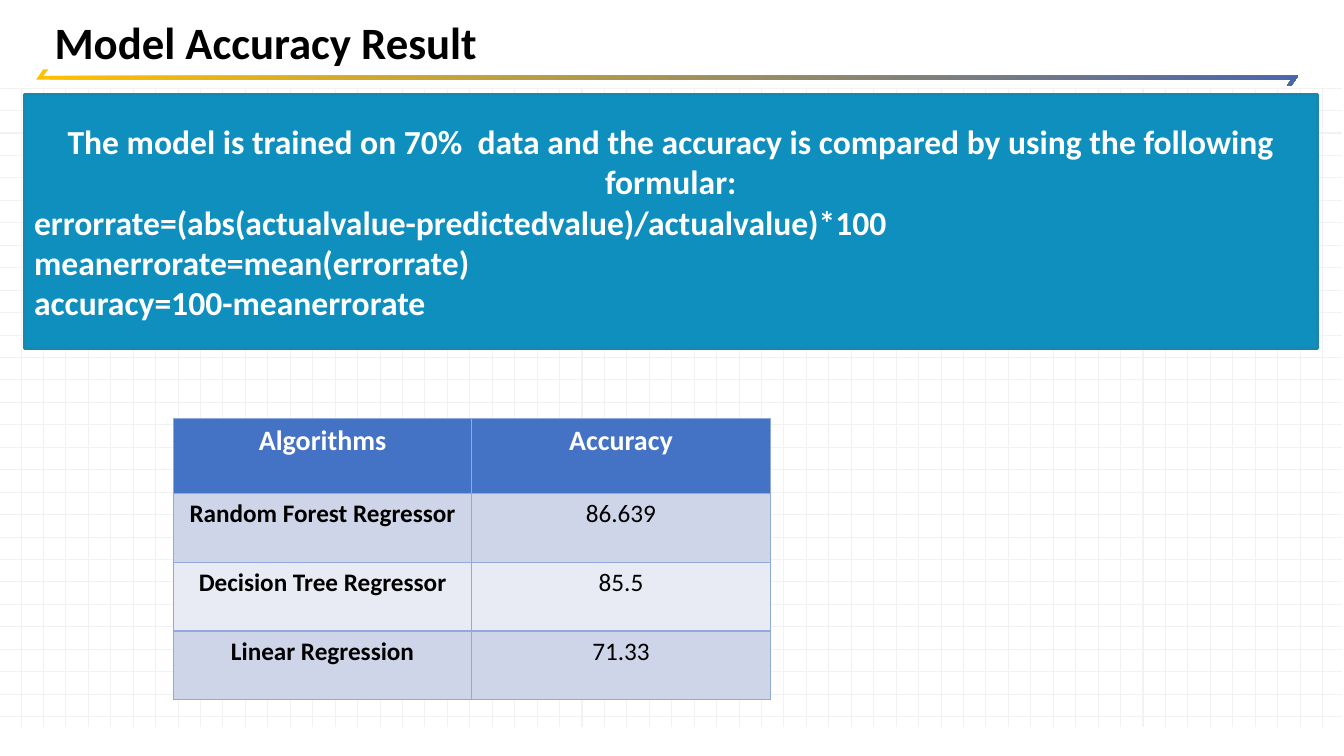
from typing import NamedTuple

from lxml.etree import SubElement
from pptx import Presentation
from pptx.dml.color import RGBColor
from pptx.enum.shapes import MSO_CONNECTOR as Connector, MSO_SHAPE as Preset
from pptx.enum.text import MSO_ANCHOR as Anchor, MSO_AUTO_SIZE as AutoSize, PP_ALIGN as Align
from pptx.oxml.ns import qn
from pptx.slide import Slide
from pptx.table import _Cell as Cell
from pptx.util import Cm, Pt


class Box(NamedTuple):
    """Position and size in centimetres."""
    left: float
    top: float
    width: float
    height: float

    def lengths(self) -> list[Cm]:
        """Return the four values as lengths."""
        return [Cm(value) for value in self]


class TextStyle(NamedTuple):
    """Look of a paragraph."""
    size: int
    color: str
    bold: bool = True
    align: Align = Align.LEFT


class Result(NamedTuple):
    """One algorithm with its accuracy."""
    algorithm: str
    accuracy: str


FONT = "Calibri"
GRID_COLOR, BORDER_COLOR, HEADER_FILL = "F2F2F2", "8FAADC", "4472C4"
BAND_FILLS = ("CFD5E9", "E8EBF4")
GRID = Box(0.53, 2.22, 32.8, 15.84)
GRID_COLUMNS, GRID_ROWS = 58, 28
GRID_RIGHT, GRID_BOTTOM = 33.83, 18.31
TITLE_BOX = Box(1.12, 0, 31.6, 1.88)
FORMULA_BOX = Box(0.61, 2.39, 32.59, 6.4)
TABLE_BOX = Box(4.37, 10.54, 15.04, 7.09)
ROW_HEIGHTS = (1.9, 1.73, 1.73, 1.73)
UNDERLINE = ((1.09, 1.75), (1.22, 1.75), (1.09, 1.91), (32.72, 1.91),
             (32.54, 2.16), (32.44, 2.16), (32.54, 2.01), (0.91, 2.01))
INTRODUCTION = "The model is trained on 70%  data and the accuracy is compared by using the following formular:"
FORMULAS = (
    "errorrate=(abs(actualvalue-predictedvalue)/actualvalue)*100",
    "meanerrorate=mean(errorrate)",
    "accuracy=100-meanerrorate",
)
HEADER = Result("Algorithms", "Accuracy")
RESULTS = (
    Result("Random Forest Regressor", "86.639"),
    Result("Decision Tree Regressor", "85.5"),
    Result("Linear Regression", "71.33"),
)


def rgb(color: str) -> RGBColor:
    """Turn a hex string into a colour."""
    return RGBColor.from_string(color)


def format_paragraph(paragraph, style: TextStyle) -> None:
    """Apply a text style to every run of a paragraph."""
    paragraph.alignment = style.align
    for run in paragraph.runs:
        run.font.name = FONT
        run.font.size = Pt(style.size)
        run.font.bold = style.bold
        run.font.color.rgb = rgb(style.color)


def add_grid_line(slide: Slide, left: float, top: float, right: float, bottom: float) -> None:
    """Draw one pale line of the background grid."""
    line = slide.shapes.add_connector(Connector.STRAIGHT, Cm(left), Cm(top), Cm(right), Cm(bottom))
    line.line.color.rgb = rgb(GRID_COLOR)
    line.line.width = Pt(0.75)
    SubElement(line._element.spPr, qn("a:effectLst"))


def add_grid(slide: Slide) -> None:
    """Draw the background grid."""
    for column in range(GRID_COLUMNS + 1):
        left = GRID.left + GRID.width * column / GRID_COLUMNS
        add_grid_line(slide, left, GRID.top, left, GRID_BOTTOM)
    for row in range(GRID_ROWS + 1):
        top = GRID.top + GRID.height * row / GRID_ROWS
        add_grid_line(slide, 0, top, GRID_RIGHT, top)


def add_underline(slide: Slide) -> None:
    """Draw the gradient stroke below the title."""
    start, *corners = [(Cm(left), Cm(top)) for left, top in UNDERLINE]
    builder = slide.shapes.build_freeform(*start)
    builder.add_line_segments(corners)
    shape = builder.convert_to_shape()
    shape.shadow.inherit = False
    shape.line.fill.background()
    shape.fill.gradient()
    shape.fill.gradient_angle = 0
    for stop, color in zip(shape.fill.gradient_stops, ("FFC000", "4A66AC")):
        stop.color.rgb = rgb(color)


def set_title(slide: Slide, text: str) -> None:
    """Place and format the slide title."""
    title = slide.shapes.title
    title.left, title.top, title.width, title.height = TITLE_BOX.lengths()
    frame = title.text_frame
    frame.text = text
    frame.auto_size = AutoSize.NONE
    frame.vertical_anchor = Anchor.BOTTOM
    frame.paragraphs[0].line_spacing = 0.9
    format_paragraph(frame.paragraphs[0], TextStyle(32, "000000"))


def add_formula_panel(slide: Slide) -> None:
    """Draw the blue panel that explains the accuracy."""
    panel = slide.shapes.add_shape(Preset.RECTANGLE, *FORMULA_BOX.lengths())
    panel.shadow.inherit = False
    panel.fill.solid()
    panel.fill.fore_color.rgb = rgb("0E8FBE")
    panel.line.color.rgb = rgb("1888B1")
    panel.line.width = Pt(2)
    frame = panel.text_frame
    frame.word_wrap = True
    frame.vertical_anchor = Anchor.MIDDLE
    frame.text = "\n".join((INTRODUCTION, *FORMULAS))
    for paragraph in frame.paragraphs:
        format_paragraph(paragraph, TextStyle(24, "FFFFFF"))
    frame.paragraphs[0].alignment = Align.CENTER


def add_borders(cell: Cell) -> None:
    """Outline a table cell on its four sides."""
    properties = cell._tc.get_or_add_tcPr()
    for index, side in enumerate(("a:lnL", "a:lnR", "a:lnT", "a:lnB")):
        border = properties.makeelement(qn(side), {"w": str(Pt(0.96))})
        fill = SubElement(border, qn("a:solidFill"))
        SubElement(fill, qn("a:srgbClr"), val=BORDER_COLOR)
        properties.insert(index, border)


def fill_cell(cell: Cell, text: str, fill: str, style: TextStyle) -> None:
    """Write and format one table cell."""
    cell.text_frame.text = text
    format_paragraph(cell.text_frame.paragraphs[0], style)
    cell.fill.solid()
    cell.fill.fore_color.rgb = rgb(fill)
    add_borders(cell)


def add_result_table(slide: Slide) -> None:
    """Draw the table of accuracies."""
    rows = (HEADER, *RESULTS)
    table = slide.shapes.add_table(len(rows), len(HEADER), *TABLE_BOX.lengths()).table
    for row, height in zip(table.rows, ROW_HEIGHTS):
        row.height = Cm(height)
    header_style = TextStyle(20, "FFFFFF", align=Align.CENTER)
    for row_index, result in enumerate(rows):
        for column_index, text in enumerate(result):
            cell = table.cell(row_index, column_index)
            if row_index == 0:
                fill_cell(cell, text, HEADER_FILL, header_style)
            else:
                style = TextStyle(18, "000000", column_index == 0, Align.CENTER)
                fill_cell(cell, text, BAND_FILLS[(row_index - 1) % 2], style)


def main() -> None:
    """Build and save the slide."""
    presentation = Presentation()
    presentation.slide_width, presentation.slide_height = Cm(33.87), Cm(19.05)
    slide = presentation.slides.add_slide(presentation.slide_layouts[5])
    add_grid(slide)
    add_underline(slide)
    set_title(slide, "Model Accuracy Result")
    add_result_table(slide)
    add_formula_panel(slide)
    presentation.save("out.pptx")


main()
